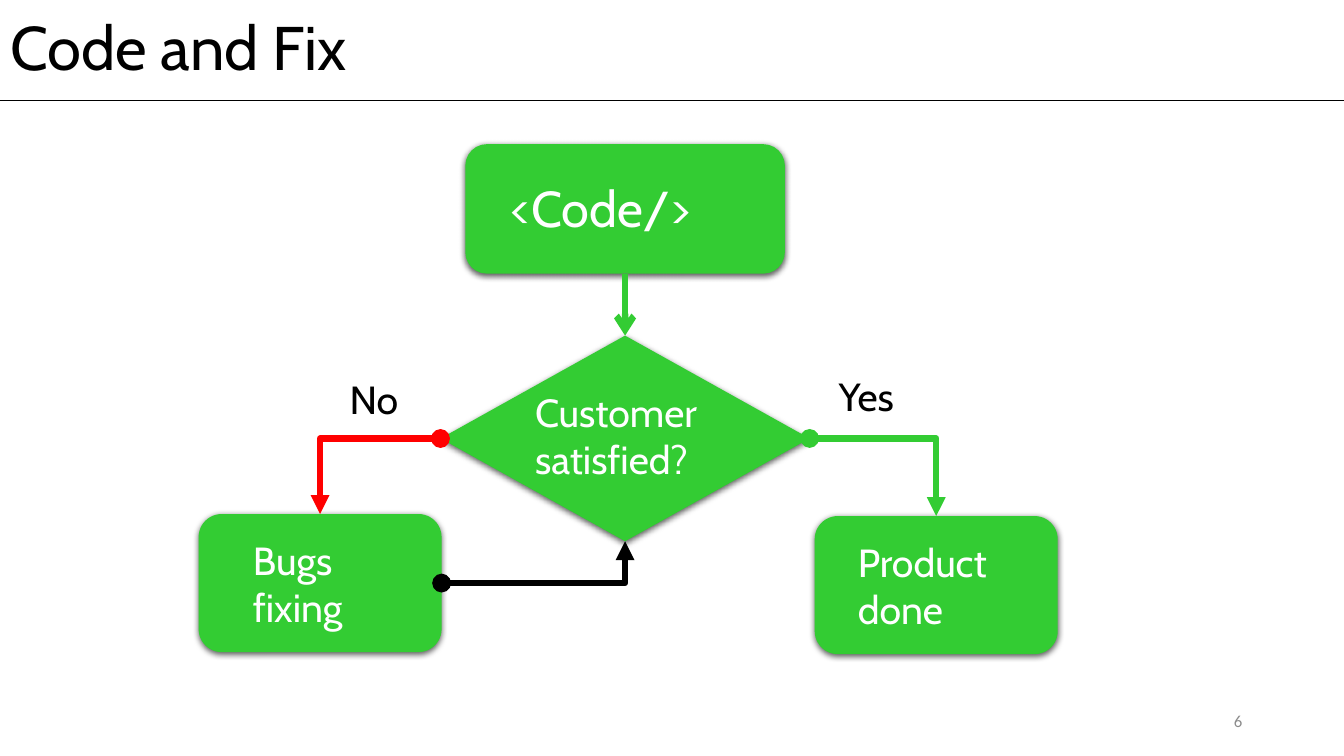
from dataclasses import dataclass
from lxml.etree import SubElement
from pptx import Presentation
from pptx.dml.color import RGBColor
from pptx.enum.shapes import MSO_CONNECTOR as Link, MSO_SHAPE as Form
from pptx.enum.text import MSO_ANCHOR as Anchor, MSO_AUTO_SIZE as Fit, PP_ALIGN as Align
from pptx.oxml.ns import qn
from pptx.util import Inches, Pt


@dataclass(frozen=True)
class Theme:
    font: str = "Cabin"
    plain: str = "Calibri"
    black: str = "000000"
    white: str = "FFFFFF"
    green: str = "33CC33"
    red: str = "FF0000"
    gray: str = "8C8C8C"
    title: int = 44
    large: int = 36
    body: int = 28
    small: int = 12
    rule: float = 0.5
    arrow: float = 4.5


LOOK = Theme()
TOP, LEFT, BASE, RIGHT = range(4)
WIDE, HIGH = Inches(13.33), Inches(7.5)

TITLE = "Code and Fix", (0, 0.13, 100, 13.2)
RULE = 13.33
PAGE = "6", (70.67, 92.67, 22.51, 5.33)

NODES = {
    "code": (Form.ROUNDED_RECTANGLE, (34.62, 19.07, 23.78, 17.13)),
    "check": (Form.FLOWCHART_DECISION, (32.78, 44.4, 27.46, 27.2)),
    "bugs": (Form.ROUNDED_RECTANGLE, (14.78, 68, 18.08, 18.27)),
    "done": (Form.ROUNDED_RECTANGLE, (60.62, 68.27, 18.08, 18.27)),
}
LABELS = [
    ("<Code/>", (37.28, 22.8, 18.45, 9.47), LOOK.large, LOOK.white),
    ("Customer satisfied?", (39.08, 50.67, 18.45, 13.87), LOOK.body, LOOK.white),
    ("Bugs\nfixing", (18.08, 70.27, 12.45, 13.87), LOOK.body, LOOK.white),
    ("Product done", (63.09, 70.53, 14.03, 13.87), LOOK.body, LOOK.white),
    ("No", (25.28, 48.93, 7.2, 7.6), LOOK.body, LOOK.black),
    ("Yes", (61.67, 48.53, 7.2, 7.6), LOOK.body, LOOK.black),
]
ARROWS = [
    ("check", LEFT, "bugs", TOP, LOOK.red, "oval", "triangle"),
    ("check", RIGHT, "done", TOP, LOOK.green, "oval", "triangle"),
    ("bugs", RIGHT, "check", BASE, LOOK.black, "oval", "triangle"),
    ("code", BASE, "check", TOP, LOOK.green, None, "arrow"),
]


def place(box):
    return [round(size * part / 100) for size, part in zip((WIDE, HIGH) * 2, box)]


def write(frame, text, font, size, color):
    frame.text = text
    frame.word_wrap = True
    for para in frame.paragraphs:
        for run in para.runs:
            run.font.name = font
            run.font.size = Pt(size)
            run.font.color.rgb = RGBColor.from_string(color)


def label(slide, text, box, font, size, color):
    frame = slide.shapes.add_textbox(*place(box)).text_frame
    write(frame, text, font, size, color)
    return frame


def node(slide, form, box):
    shape = slide.shapes.add_shape(form, *place(box))
    shape.fill.solid()
    shape.fill.fore_color.rgb = RGBColor.from_string(LOOK.green)
    shape.line.fill.background()
    shape.shadow.inherit = False
    glow = shape._element.spPr.find(qn("a:effectLst"))
    shade = SubElement(glow, qn("a:outerShdw"), blurRad=str(Pt(4.5)),
                       dist=str(Pt(1.5)), dir="5400000", algn="t", rotWithShape="0")
    tint = SubElement(shade, qn("a:srgbClr"), val=LOOK.black)
    SubElement(tint, qn("a:alpha"), val="63000")
    return shape


def stroke(line, color, width):
    line.line.color.rgb = RGBColor.from_string(color)
    line.line.width = Pt(width)
    SubElement(line._element.spPr, qn("a:effectLst"))


def arrow(slide, start, side, end, goal, color, head, tail):
    bent = (side + goal) % 2 == 1
    line = slide.shapes.add_connector(Link.ELBOW if bent else Link.STRAIGHT, 0, 0, 0, 0)
    line.begin_connect(start, side)
    line.end_connect(end, goal)
    stroke(line, color, LOOK.arrow)
    if bent:
        line._element.spPr.find(qn("a:prstGeom")).set("prst", "bentConnector2")
    edge = line.line._get_or_add_ln()
    for tag, kind in (("a:headEnd", head), ("a:tailEnd", tail)):
        if kind:
            SubElement(edge, qn(tag), type=kind)


def main():
    deck = Presentation()
    deck.slide_width, deck.slide_height = WIDE, HIGH
    slide = deck.slides.add_slide(deck.slide_layouts[5])

    text, box = TITLE
    title = slide.shapes.title
    title.left, title.top, title.width, title.height = place(box)
    frame = title.text_frame
    write(frame, text, LOOK.font, LOOK.title, LOOK.black)
    frame.auto_size = Fit.NONE
    frame.vertical_anchor = Anchor.MIDDLE
    frame.paragraphs[0].alignment = Align.LEFT
    frame.paragraphs[0].line_spacing = 0.9

    level = round(HIGH * RULE / 100)
    rule = slide.shapes.add_connector(Link.STRAIGHT, 0, level, WIDE, level)
    stroke(rule, LOOK.black, LOOK.rule)

    page = label(slide, *PAGE, LOOK.plain, LOOK.small, LOOK.gray)
    page.vertical_anchor = Anchor.MIDDLE
    page.paragraphs[0].alignment = Align.RIGHT

    nodes = {name: node(slide, *item) for name, item in NODES.items()}
    for start, side, end, goal, *style in ARROWS:
        arrow(slide, nodes[start], side, nodes[end], goal, *style)
    for text, box, size, color in LABELS:
        frame = label(slide, text, box, LOOK.font, size, color)
        frame.auto_size = Fit.SHAPE_TO_FIT_TEXT

    deck.save("out.pptx")


if __name__ == "__main__":
    main()
